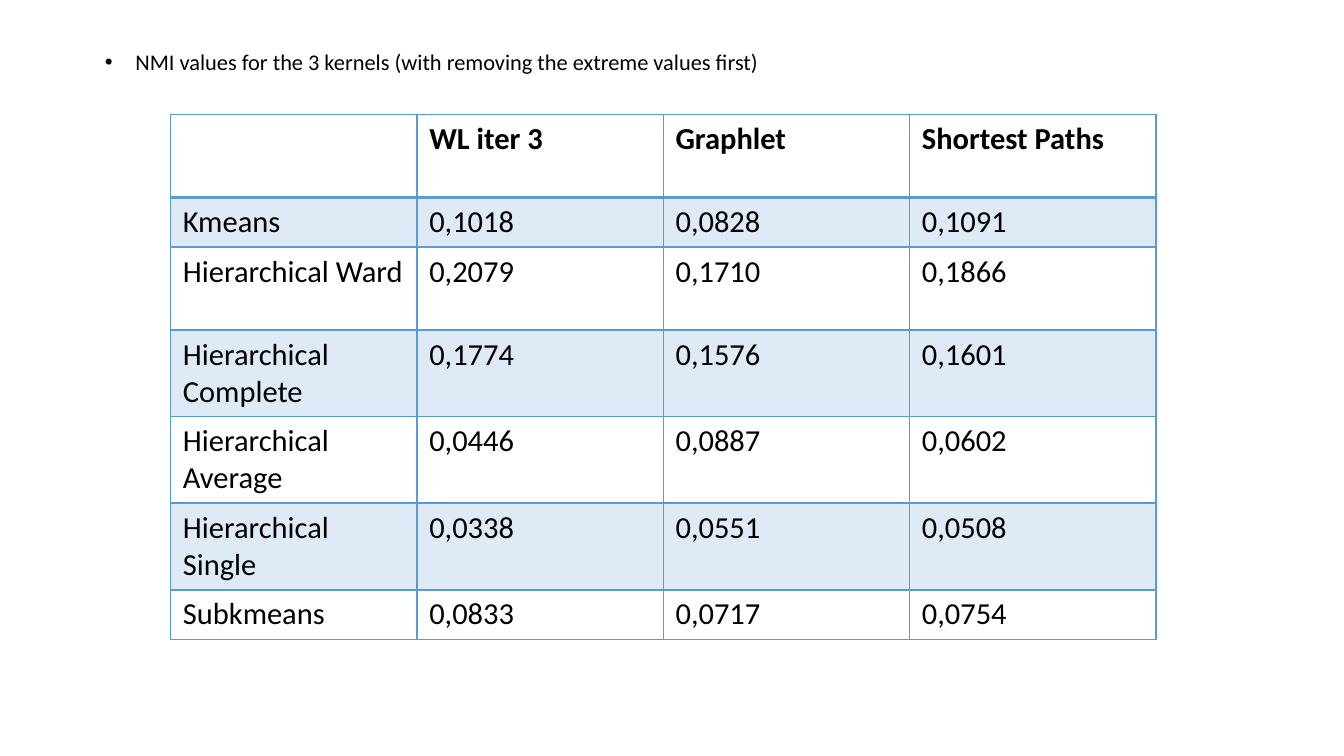
from dataclasses import dataclass

from lxml import etree
from pptx import Presentation
from pptx import util as u
from pptx.dml.color import RGBColor
from pptx.enum import text
from pptx.oxml import ns


@dataclass
class Theme:
    font: str = "Calibri"
    ink: str = "000000"
    accent: str = "5B9BD5"
    band_alpha: int = 20
    bullet_size: float = 13.2
    table_size: float = 18
    thin: float = 0.96
    thick: float = 1.98


def add_xml(parent, tag, **attrs):
    return etree.SubElement(parent, ns.qn(tag), {k: str(v) for k, v in attrs.items()})


def set_attrs(target, values):
    for name, value in values.items():
        setattr(target, name, value)


class SlideBuilder:
    def __init__(self, prs, theme):
        self.theme = theme
        self.s = prs.slides.add_slide(prs.slide_layouts[1])
        title = self.s.shapes.title._element
        title.getparent().remove(title)

    def add_text(self, p, words, size, bold=False):
        r = p.add_run()
        r.text = words
        set_attrs(r.font, {"name": self.theme.font, "size": u.Pt(size), "bold": bold})
        r.font.color.rgb = RGBColor.from_string(self.theme.ink)

    def bullet(self, words, left, top, width, height):
        sp = self.s.placeholders[1]
        set_attrs(sp, {"left": u.Inches(left), "top": u.Inches(top),
                       "width": u.Inches(width), "height": u.Inches(height)})
        tf = sp.text_frame
        set_attrs(tf, {"word_wrap": True, "auto_size": text.MSO_AUTO_SIZE.NONE,
                       "vertical_anchor": text.MSO_ANCHOR.TOP})
        p = tf.paragraphs[0]
        set_attrs(p, {"line_spacing": 0.9, "space_before": u.Pt(10),
                      "alignment": text.PP_ALIGN.LEFT})
        pPr = p._p.get_or_add_pPr()
        pPr.set("marL", str(u.Inches(0.25)))
        pPr.set("indent", str(u.Inches(-0.25)))
        add_xml(add_xml(pPr, "a:buClr"), "a:srgbClr", val=self.theme.ink)
        add_xml(pPr, "a:buFont", typeface="Arial")
        add_xml(pPr, "a:buChar", char="•")
        self.add_text(p, words, self.theme.bullet_size)

    def borders(self, cell, widths):
        tcPr = cell._tc.get_or_add_tcPr()
        for side, width in widths.items():
            ln = add_xml(tcPr, f"a:ln{side}", w=u.Pt(width))
            add_xml(add_xml(ln, "a:solidFill"), "a:srgbClr", val=self.theme.accent)

    def band(self, cell):
        cell.fill.solid()
        cell.fill.fore_color.rgb = RGBColor.from_string(self.theme.accent)
        color = cell._tc.tcPr.find(ns.qn("a:solidFill")).find(ns.qn("a:srgbClr"))
        add_xml(color, "a:alpha", val=self.theme.band_alpha * 1000)

    def table(self, rows, left, top, col_width, heights):
        t = self.theme
        cols = len(rows[0])
        table = self.s.shapes.add_table(
            len(rows), cols, u.Inches(left), u.Inches(top),
            u.Inches(col_width * cols), u.Inches(sum(heights))).table
        set_attrs(table, {"first_row": False, "horz_banding": False})
        for column in table.columns:
            column.width = u.Inches(col_width)
        for i, (values, height) in enumerate(zip(rows, heights)):
            table.rows[i].height = u.Inches(height)
            for j, value in enumerate(values):
                cell = table.cell(i, j)
                self.borders(cell, {"L": t.thin, "R": t.thin,
                                    "T": t.thick if i == 1 else t.thin,
                                    "B": t.thick if i == 0 else t.thin})
                if i % 2:
                    self.band(cell)
                else:
                    cell.fill.background()
                if value:
                    self.add_text(cell.text_frame.paragraphs[0], value, t.table_size, i == 0)


NMI_ROWS = [
    ("", "WL iter 3", "Graphlet", "Shortest Paths"),
    ("Kmeans", "0,1018", "0,0828", "0,1091"),
    ("Hierarchical Ward", "0,2079", "0,1710", "0,1866"),
    ("Hierarchical Complete", "0,1774", "0,1576", "0,1601"),
    ("Hierarchical Average", "0,0446", "0,0887", "0,0602"),
    ("Hierarchical Single", "0,0338", "0,0551", "0,0508"),
    ("Subkmeans", "0,0833", "0,0717", "0,0754"),
]
TALL, SHORT = 0.68, 0.39


def main():
    prs = Presentation()
    set_attrs(prs, {"slide_width": u.Inches(11.02), "slide_height": u.Inches(6.2)})
    slide = SlideBuilder(prs, Theme())

    # Heading bullet
    slide.bullet("NMI values for the 3 kernels (with removing the extreme values first)",
                 0.76, 0.37, 9.51, 0.57)

    # NMI table
    heights = [SHORT if row[0].endswith("means") else TALL for row in NMI_ROWS]
    slide.table(NMI_ROWS, 1.4, 0.94, 2.02, heights)

    prs.save("out.pptx")


if __name__ == "__main__":
    main()
